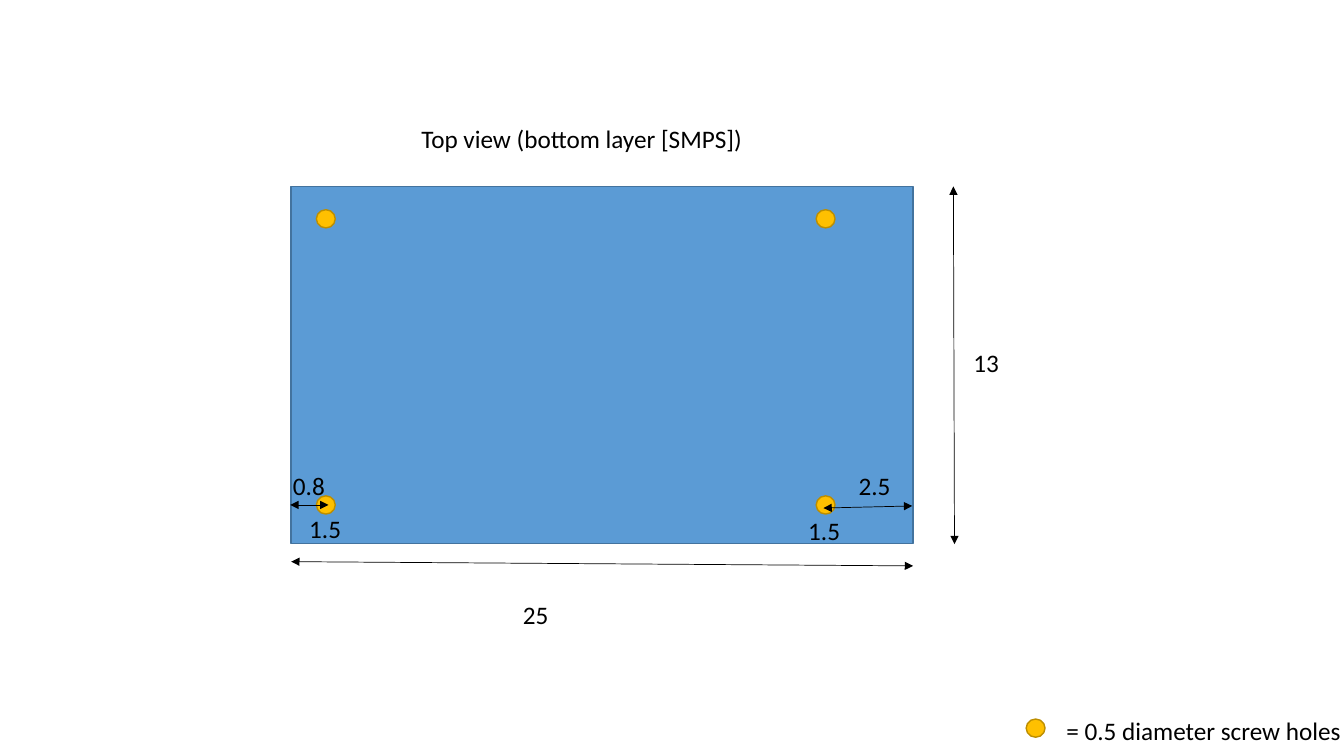
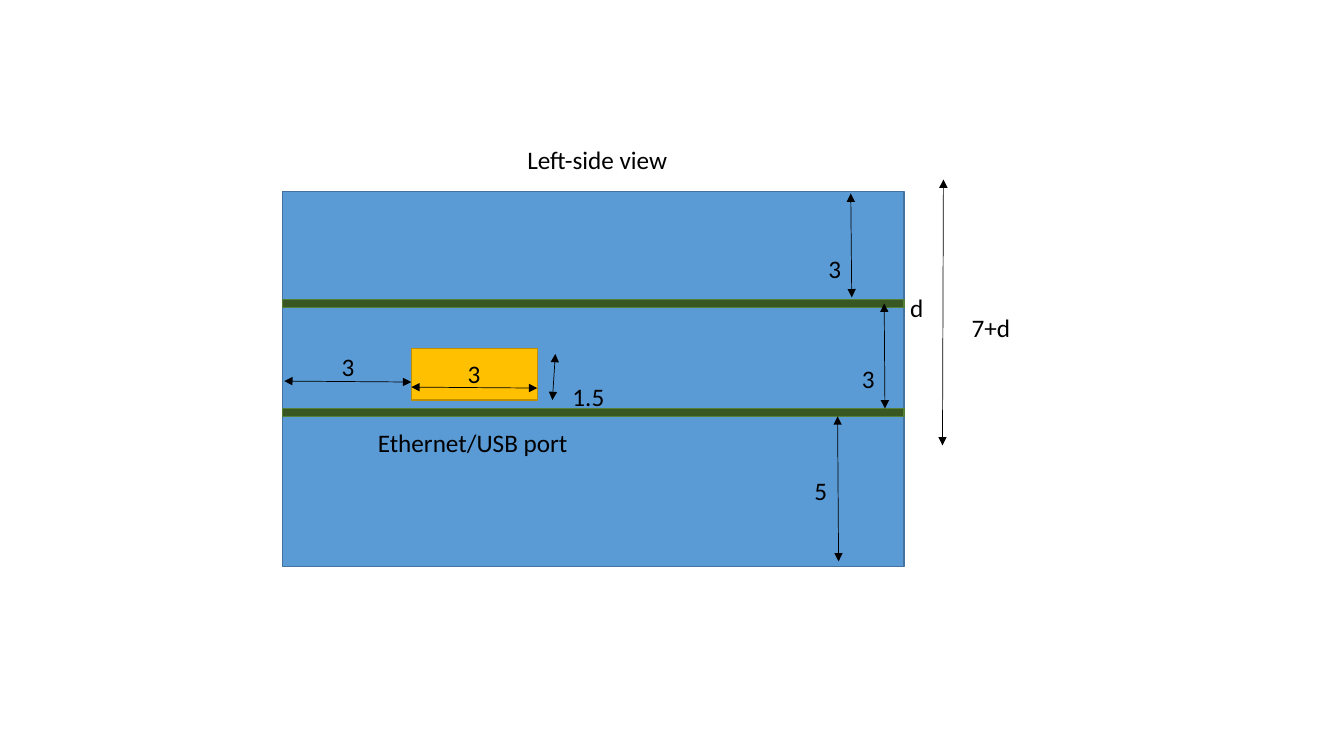
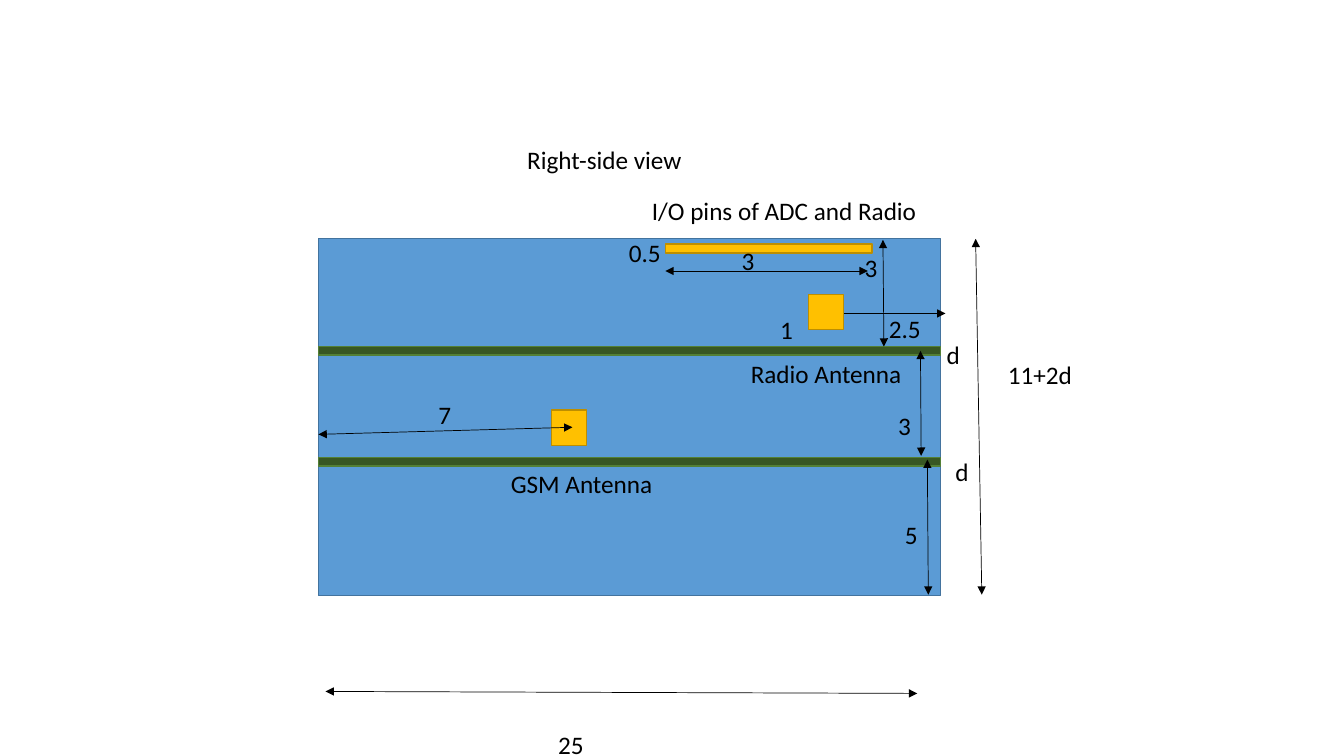
import collections

import lxml.etree
import pptx
import pptx.dml.color
import pptx.enum.shapes
import pptx.enum.text
import pptx.oxml.ns
import pptx.util

Pt = pptx.util.Pt
PRESET = pptx.enum.shapes.MSO_SHAPE
Box = collections.namedtuple("Box", "left top width height")

COLORS = {
    "ink": "000000",
    "case": "5B9BD5", "case_edge": "43739E",
    "board": "385723", "board_edge": "538035",
    "part": "FFC000", "part_edge": "BD8E00",
}
FONT = "Calibri"
FONT_SIZE = 18
LABEL_HEIGHT = 29
DIGIT, TWO_DIGITS, DECIMAL = 24, 33, 37.4
CASE_WIDTH = 444.24
BOARD_HEIGHT = 6
HOLE_WIDTH, HOLE_HEIGHT = 13.5, 13
ANTENNA_SIZE = 25.2


def color(name):
    """Return a named colour from the palette."""
    return pptx.dml.color.RGBColor.from_string(COLORS[name])


def write(shape, text):
    """Write one left-aligned, unwrapped line into a shape."""
    frame = shape.text_frame
    frame.word_wrap = False
    frame.auto_size = pptx.enum.text.MSO_AUTO_SIZE.NONE
    frame.vertical_anchor = pptx.enum.text.MSO_ANCHOR.TOP
    para = frame.paragraphs[0]
    para.alignment = pptx.enum.text.PP_ALIGN.LEFT
    span = para.add_run()
    span.text = text
    span.font.name = FONT
    span.font.size = Pt(FONT_SIZE)
    span.font.color.rgb = color("ink")


def add_label(page, box, text, x, y, width=DIGIT):
    """Place a label at an offset from the box corner."""
    label = page.shapes.add_textbox(
        Pt(box.left + x), Pt(box.top + y), Pt(width), Pt(LABEL_HEIGHT))
    write(label, text)


def add_block(page, box, kind, x, y, width, height, preset=PRESET.RECTANGLE):
    """Place a filled, outlined shape at an offset from the box corner."""
    block = page.shapes.add_shape(
        preset, Pt(box.left + x), Pt(box.top + y), Pt(width), Pt(height))
    block.shadow.inherit = False
    block.fill.solid()
    block.fill.fore_color.rgb = color(kind)
    block.line.color.rgb = color(kind + "_edge")
    block.line.width = Pt(1)


def add_hole(page, box, x, y):
    """Place a round screw hole."""
    add_block(page, box, "part", x, y, HOLE_WIDTH, HOLE_HEIGHT, PRESET.OVAL)


def add_dimension(page, box, x1, y1, x2, y2):
    """Draw a thin line with an arrowhead at each end."""
    arrow = page.shapes.add_connector(
        pptx.enum.shapes.MSO_CONNECTOR.STRAIGHT,
        Pt(box.left + x1), Pt(box.top + y1),
        Pt(box.left + x2), Pt(box.top + y2))
    arrow.line.color.rgb = color("ink")
    arrow.line.width = Pt(0.5)
    outline = arrow.line._get_or_add_ln()
    for end in ("a:headEnd", "a:tailEnd"):
        lxml.etree.SubElement(
            outline, pptx.oxml.ns.qn(end), type="triangle")
    lxml.etree.SubElement(
        arrow._element.spPr, pptx.oxml.ns.qn("a:effectLst"))


def start_view(deck, box, title, x, y, width):
    """Add a page with its title and the case outline."""
    page = deck.slides.add_slide(deck.slide_layouts[5])
    heading = page.shapes.title
    heading.left, heading.top = Pt(box.left + x), Pt(box.top + y)
    heading.width, heading.height = Pt(width), Pt(LABEL_HEIGHT)
    write(heading, title)
    add_block(page, box, "case", 0, 0, box.width, box.height)
    return page


def draw_boards(page, box, tops):
    """Draw the circuit boards and the gap between them."""
    for top in tops:
        add_block(page, box, "board", 0, top, box.width, BOARD_HEIGHT)
    add_dimension(page, box, 430, 80, 430.5, 155)
    add_label(page, box, "3", 407, 119)
    add_label(page, box, "d", 441.5, 68.5)


def draw_legend(page, box):
    """Explain the screw hole symbol."""
    add_hole(page, box, 0, 6)
    add_label(page, box, "= 0.5 diameter screw holes", 21.6, 0, box.width - 21.6)


def top_view(deck, box):
    """Show the bottom layer from above with its screw holes."""
    page = start_view(
        deck, box, "Top view (bottom layer [SMPS])", 85.7, -49, 247)
    add_dimension(page, box, 0, 268, box.width, 271)
    add_label(page, box, "25", 158.5, 291.6, TWO_DIGITS)
    add_dimension(page, box, 473, 0, 473.8, 255.5)
    add_label(page, box, "13", 480.2, 111.6, TWO_DIGITS)
    for x in (18, 375):
        for y in (16.6, 221):
            add_hole(page, box, x, y)
    add_dimension(page, box, 380.2, 229.7, 443.6, 228.2)
    add_dimension(page, box, -0.7, 227.5, 26.6, 227.5)
    for text, x, y in (("2.5", 398.2, 199.4), ("1.5", 362.2, 231.1),
                       ("1.5", 5.8, 229.7), ("0.8", -5.8, 199.4)):
        add_label(page, box, text, x, y, DECIMAL)
    draw_legend(page, Box(733, 507.6, 234.6, LABEL_HEIGHT))


def left_view(deck, box):
    """Show the left side with the port opening."""
    page = start_view(deck, box, "Left-side view", 167.8, -37.4, 121)
    add_dimension(page, box, 472.3, -8.6, 471.6, 181.4)
    add_label(page, box, "7+d", 485.3, 82.8, 42.5)
    draw_boards(page, box, (77, 154.8))
    add_block(page, box, "part", 92.2, 112.3, 90, 36.7)
    for line in ((396.7, 160.6, 397.4, 264.2), (1.4, 135.4, 92.2, 136.1),
                 (92.2, 139.7, 182.2, 140.4), (195.1, 116, 193, 149),
                 (406.1, 1.4, 406.8, 75.6)):
        add_dimension(page, box, *line)
    for text, x, y in (("5", 373, 199.4), ("3", 35.3, 110.9),
                       ("3", 125.3, 115.9), ("3", 383, 40.3)):
        add_label(page, box, text, x, y)
    add_label(page, box, "1.5", 200.2, 131.8, DECIMAL)
    add_label(page, box, "Ethernet/USB port", 61.2, 164.9, 151)


def right_view(deck, box):
    """Show the right side with pins and antennas."""
    page = start_view(deck, box, "Right-side view", 141.8, -71.3, 126.7)
    add_dimension(page, box, 5, 323.3, 427.7, 324.7)
    add_label(page, box, "25", 164.2, 347, TWO_DIGITS)
    add_dimension(page, box, 469.4, 0, 473.8, 254.2)
    add_label(page, box, "11+2d", 485.3, 82.8, 61)
    draw_boards(page, box, (77, 156.2))
    add_block(page, box, "part", 247.7, 3.6, 147.6, 6.5)
    add_block(page, box, "part", 166.3, 122.4, ANTENNA_SIZE, ANTENNA_SIZE)
    for line in ((403.2, 0.7, 403.9, 77), (392.4, 23, 247.7, 23),
                 (447.8, 53.3, 352, 53.3), (434.9, 157.7, 435.6, 254.2),
                 (181.4, 134.6, 0, 139.7)):
        add_dimension(page, box, *line)
    add_block(page, box, "part", 350, 39.6, ANTENNA_SIZE, ANTENNA_SIZE)
    for text, x, y in (("3", 383, 5.8), ("3", 295.2, 1.4), ("5", 411.8, 196.6),
                       ("d", 447.8, 151.9), ("7", 78.5, 110.9),
                       ("1", 322.6, 50.4)):
        add_label(page, box, text, x, y)
    for text, x, y, width in (("2.5", 400.3, 49.7, DECIMAL),
                              ("0.5", 214.6, -5, DECIMAL),
                              ("I/O pins of ADC and Radio", 231.1, -34.6, 200),
                              ("Radio Antenna", 301.7, 82.1, 117),
                              ("GSM Antenna", 130.3, 160.6, 117)):
        add_label(page, box, text, x, y, width)


deck = pptx.Presentation()
deck.slide_width, deck.slide_height = Pt(960), Pt(540)
top_view(deck, Box(208, 133.2, CASE_WIDTH, 255))
left_view(deck, Box(201.6, 136.8, CASE_WIDTH, 267.8))
right_view(deck, Box(227.5, 170.6, CASE_WIDTH, 255))
deck.save("out.pptx")
